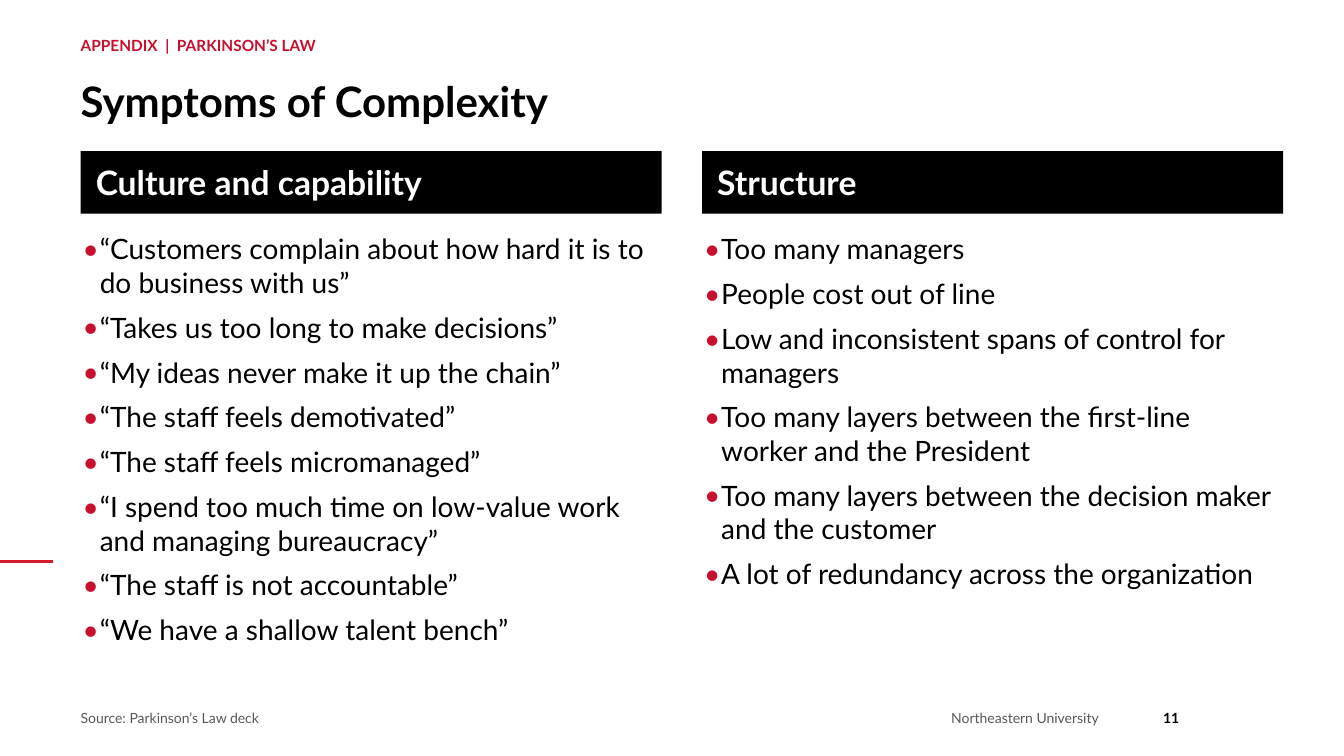
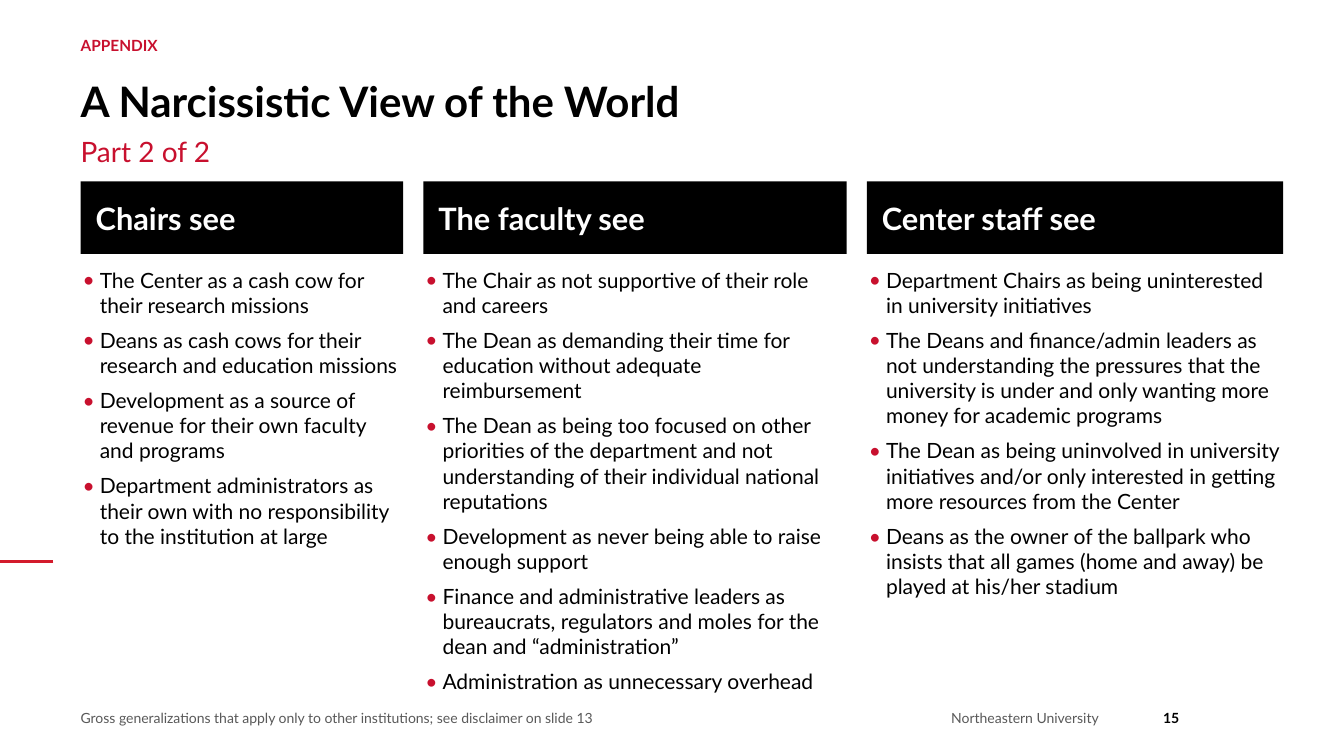
from dataclasses import dataclass

import lxml.etree
import pptx
import pptx.dml.color
import pptx.enum.shapes
import pptx.enum.text
import pptx.oxml.ns
import pptx.util

Pt = pptx.util.Pt
RGB = pptx.dml.color.RGBColor.from_string
Align = pptx.enum.text.PP_ALIGN
Anchor = pptx.enum.text.MSO_ANCHOR
qn = pptx.oxml.ns.qn

SLIDES = [
    {
        "section": "APPENDIX  |  PARKINSON’S LAW",
        "title": "Symptoms of Complexity",
        "subtitle": None,
        "note": "Source: Parkinson’s Law deck",
        "number": "11",
        "layout": "Two Content",
        "grid": {"gap": 28.8, "band_top": 108, "band_height": 44.64,
                 "list_top": 165.6, "list_height": 327.6},
        "sizes": {"band": 24, "list": 20, "spacing": 8},
        "columns": [
            ("Culture and capability", 1, [
                "“Customers complain about how hard it is to do business with us”",
                "“Takes us too long to make decisions”",
                "“My ideas never make it up the chain”",
                "“The staff feels demotivated”",
                "“The staff feels micromanaged”",
                "“I spend too much time on low-value work and managing bureaucracy”",
                "“The staff is not accountable”",
                "“We have a shallow talent bench”",
            ]),
            ("Structure", 1, [
                "Too many managers",
                "People cost out of line",
                "Low and inconsistent spans of control for managers",
                "Too many layers between the first-line worker and the President",
                "Too many layers between the decision maker and the customer",
                "A lot of redundancy across the organization",
            ]),
        ],
    },
    {
        "section": "APPENDIX",
        "title": "A Narcissistic View of the World",
        "subtitle": "Part 2 of 2",
        "note": "Gross generalizations that apply only to other institutions; see disclaimer on slide 13",
        "number": "15",
        "layout": "Comparison",
        "grid": {"gap": 14.4, "band_top": 129.6, "band_height": 51.84,
                 "list_top": 190.8, "list_height": 309.6},
        "sizes": {"band": 22, "list": 15, "spacing": 7},
        "columns": [
            ("Chairs see", 3.2, [
                "The Center as a cash cow for their research missions",
                "Deans as cash cows for their research and education missions",
                "Development as a source of revenue for their own faculty and programs",
                "Department administrators as their own with no responsibility to the institution at large",
            ]),
            ("The faculty see", 4.2, [
                "The Chair as not supportive of their role and careers",
                "The Dean as demanding their time for education without adequate reimbursement",
                "The Dean as being too focused on other priorities of the department and not "
                "understanding of their individual national reputations",
                "Development as never being able to raise enough support",
                "Finance and administrative leaders as bureaucrats, regulators and moles for the "
                "dean and “administration”",
                "Administration as unnecessary overhead",
            ]),
            ("Center staff see", 4.13, [
                "Department Chairs as being uninterested in university initiatives",
                "The Deans and finance/admin leaders as not understanding the pressures that the "
                "university is under and only wanting more money for academic programs",
                "The Dean as being uninvolved in university initiatives and/or only interested in "
                "getting more resources from the Center",
                "Deans as the owner of the ballpark who insists that all games (home and away) be "
                "played at his/her stadium",
            ]),
        ],
    },
]
ORGANIZATION = "Northeastern University"


@dataclass(frozen=True)
class Theme:
    font: str = "Lato"
    black: str = "000000"
    white: str = "FFFFFF"
    red: str = "C8102E"
    rule: str = "D31B2C"
    gray: str = "595959"
    title: int = 30
    subtitle: int = 20
    section: int = 11
    footer: int = 10
    left: float = 57.6
    width: float = 858.96
    indent: float = 12.24
    list_inset: float = 1.44


THEME = Theme()
FOOTER_TOP, FOOTER_HEIGHT = 504, 17.28


def place(shape, left, top, width, height):
    shape.left, shape.top = Pt(left), Pt(top)
    shape.width, shape.height = Pt(width), Pt(height)


def format_frame(shape, anchor, horizontal=0, vertical=0):
    frame = shape.text_frame
    frame.word_wrap = True
    frame.auto_size = pptx.enum.text.MSO_AUTO_SIZE.NONE
    frame.vertical_anchor = anchor
    frame.margin_left = frame.margin_right = Pt(horizontal)
    frame.margin_top = frame.margin_bottom = Pt(vertical)
    return frame


def format_paragraph(paragraph, size, color, bold=False, align=Align.LEFT):
    paragraph.alignment = align
    font = paragraph.font
    font.name, font.size, font.bold = THEME.font, Pt(size), bold
    font.color.rgb = RGB(color)


def add_label(slide, text, box, size, color, bold=False, align=Align.LEFT):
    label = slide.shapes.add_textbox(*map(Pt, box))
    paragraph = format_frame(label, Anchor.MIDDLE).paragraphs[0]
    paragraph.text = text
    format_paragraph(paragraph, size, color, bold, align)


def add_bullet(paragraph):
    properties = paragraph._p.get_or_add_pPr()
    properties.set("marL", str(Pt(THEME.indent)))
    properties.set("indent", str(-Pt(THEME.indent)))
    color = lxml.etree.SubElement(properties, qn("a:buClr"))
    lxml.etree.SubElement(color, qn("a:srgbClr")).set("val", THEME.red)
    lxml.etree.SubElement(properties, qn("a:buFont")).set("typeface", THEME.font)
    lxml.etree.SubElement(properties, qn("a:buChar")).set("char", "•")


def fill_list(placeholder, items, sizes):
    frame = format_frame(placeholder, Anchor.TOP)
    for index, item in enumerate(items):
        paragraph = frame.add_paragraph() if index else frame.paragraphs[0]
        paragraph.text = item
        add_bullet(paragraph)
        paragraph.space_before = Pt(sizes["spacing"] if index else 0)
        format_paragraph(paragraph, sizes["list"], THEME.black)


def add_band(slide, text, box, size):
    band = slide.shapes.add_shape(pptx.enum.shapes.MSO_SHAPE.RECTANGLE, *map(Pt, box))
    band.shadow.inherit = False
    band.fill.solid()
    band.fill.fore_color.rgb = RGB(THEME.black)
    band.line.fill.background()
    paragraph = format_frame(band, Anchor.MIDDLE, 10.8, 3.6).paragraphs[0]
    paragraph.text = text
    format_paragraph(paragraph, size, THEME.white, bold=True)


def add_columns(slide, content):
    grid, sizes, columns = content["grid"], content["sizes"], content["columns"]
    available = THEME.width - grid["gap"] * (len(columns) - 1)
    total = sum(weight for _, weight, _ in columns)
    bodies = list(slide.placeholders)[1:]
    left = THEME.left
    for (heading, weight, items), body in zip(columns, bodies):
        width = available * weight / total
        add_band(slide, heading, (left, grid["band_top"], width, grid["band_height"]), sizes["band"])
        place(body, left + THEME.list_inset, grid["list_top"],
              width - 2 * THEME.list_inset, grid["list_height"])
        fill_list(body, items, sizes)
        left += width + grid["gap"]
    for unused in bodies[len(columns):]:
        unused.element.getparent().remove(unused.element)


def add_title(slide, text):
    title = slide.shapes.title
    place(title, THEME.left, 41.76, THEME.width, 48.96)
    paragraph = format_frame(title, Anchor.BOTTOM).paragraphs[0]
    paragraph.text = text
    paragraph.line_spacing = 0.9
    format_paragraph(paragraph, THEME.title, THEME.black, bold=True)


def add_footer(slide, note, number):
    add_label(slide, note, (THEME.left, FOOTER_TOP, 468, FOOTER_HEIGHT), THEME.footer, THEME.gray)
    add_label(slide, ORGANIZATION, (525.6, FOOTER_TOP, 259.2, FOOTER_HEIGHT),
              THEME.footer, THEME.gray, align=Align.RIGHT)
    add_label(slide, number, (802.8, FOOTER_TOP, 39.6, FOOTER_HEIGHT),
              THEME.footer, THEME.black, bold=True, align=Align.RIGHT)


def add_master_rule(presentation, slide):
    rule = slide.shapes.add_connector(pptx.enum.shapes.MSO_CONNECTOR.STRAIGHT,
                                      Pt(38.16), Pt(401), Pt(0), Pt(401))
    rule.line.color.rgb = RGB(THEME.rule)
    rule.line.width = Pt(2)
    lxml.etree.SubElement(rule.element.spPr, qn("a:effectLst"))
    presentation.slide_master.shapes.element.append(rule.element)


def add_slide(presentation, content):
    slide = presentation.slides.add_slide(presentation.slide_layouts.get_by_name(content["layout"]))
    add_title(slide, content["title"])
    add_label(slide, content["section"], (THEME.left, 23.04, 576, 18),
              THEME.section, THEME.red, bold=True)
    if content["subtitle"]:
        add_label(slide, content["subtitle"], (THEME.left, 93.6, THEME.width, 28.8),
                  THEME.subtitle, THEME.red)
    add_columns(slide, content)
    add_footer(slide, content["note"], content["number"])
    return slide


def main():
    presentation = pptx.Presentation()
    presentation.slide_width, presentation.slide_height = Pt(960), Pt(540)
    slides = [add_slide(presentation, content) for content in SLIDES]
    add_master_rule(presentation, slides[0])
    presentation.save("out.pptx")


if __name__ == "__main__":
    main()
